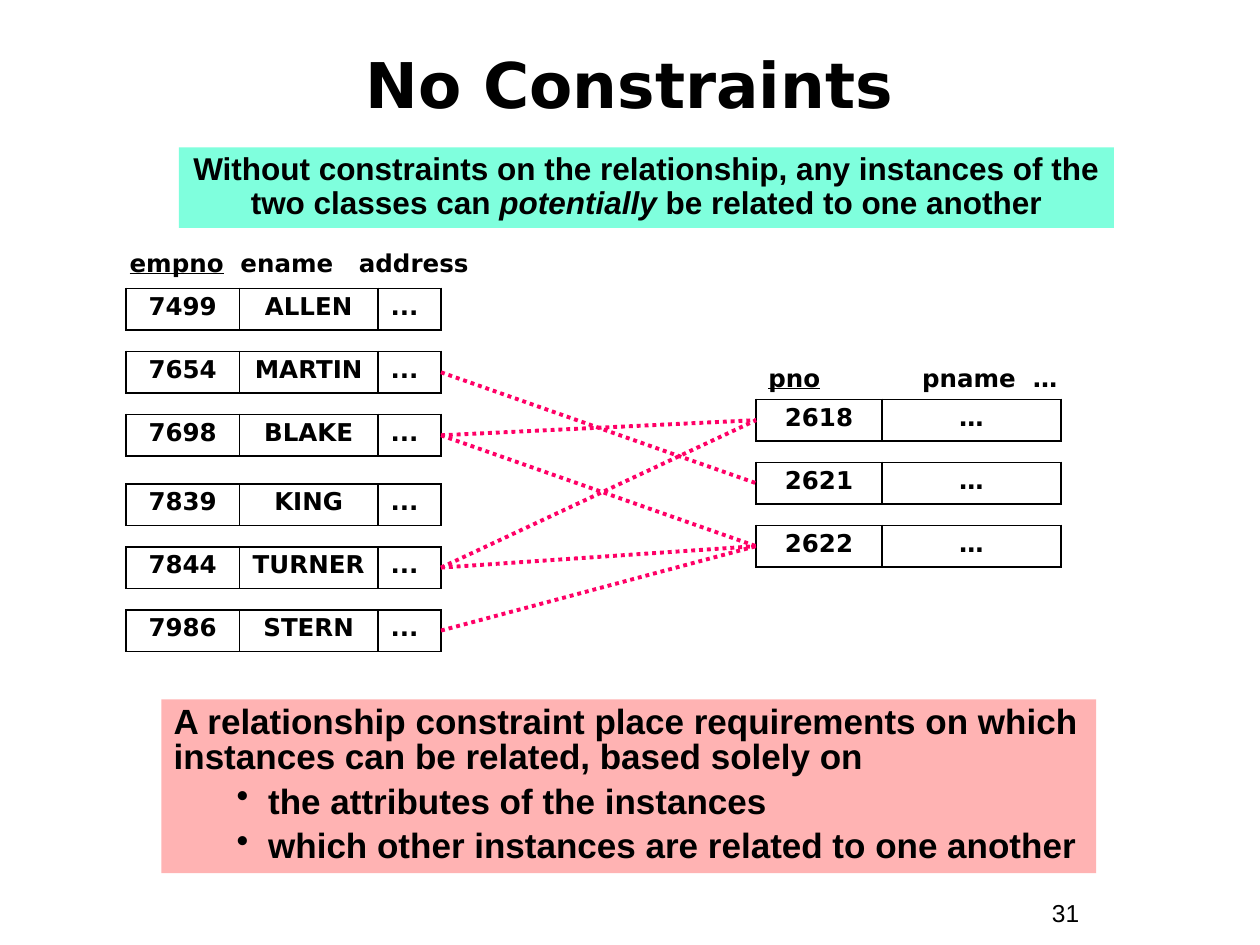
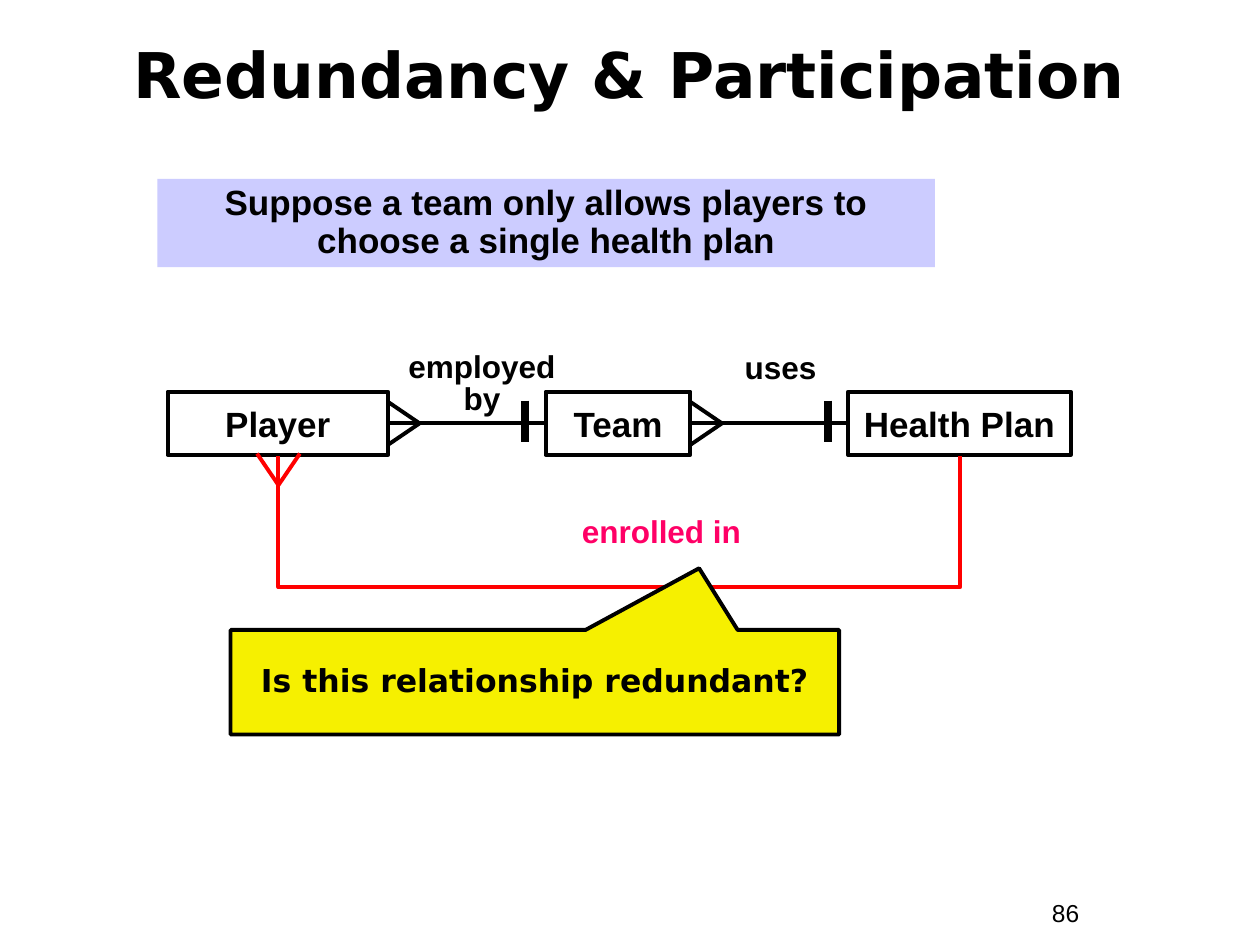
from lxml import etree
from pptx import Presentation
from pptx.dml.color import RGBColor
from pptx.enum.dml import MSO_LINE
from pptx.enum.shapes import MSO_CONNECTOR, MSO_SHAPE
from pptx.enum.text import MSO_ANCHOR, PP_ALIGN
from pptx.oxml.ns import qn
from pptx.util import Inches, Pt

LEFT, CENTER = PP_ALIGN.LEFT, PP_ALIGN.CENTER
TOP, MIDDLE = MSO_ANCHOR.TOP, MSO_ANCHOR.MIDDLE
STRAIGHT, DOTTED = MSO_CONNECTOR.STRAIGHT, MSO_LINE.ROUND_DOT
RECTANGLE, CALLOUT = MSO_SHAPE.RECTANGLE, MSO_SHAPE.RECTANGULAR_CALLOUT

# Shared look
SANS, HEADING = "Arial", "DejaVu Sans"
BLACK, PINK, RED = "000000", "FF0066", "FF0000"
MINT, ROSE, LILAC, YELLOW = "7FFFDD", "FFB3B3", "CCCCFF", "F6F000"
LINE_WIDTH = 2.25
TITLE_LAYOUT = 5


def write(frame, paragraphs, size, font=SANS, align=CENTER, anchor=TOP,
          spacing=1.0, colour=BLACK, bold=True):
    """Fill a text frame; each paragraph is a list of (text, font extras)."""
    frame.word_wrap = True
    frame.vertical_anchor = anchor
    for index, spans in enumerate(paragraphs):
        para = frame.paragraphs[0] if index == 0 else frame.add_paragraph()
        para.alignment = align
        para.line_spacing = spacing
        for text, extras in spans:
            span = para.add_run()
            span.text = text
            look = {"size": Pt(size), "name": font, "bold": bold, **extras}
            for name, value in look.items():
                setattr(span.font, name, value)
            span.font.color.rgb = RGBColor.from_string(colour)


def add_line(page, start, end, colour=BLACK, width=LINE_WIDTH):
    line = page.shapes.add_connector(
        STRAIGHT, *[Inches(value) for value in (*start, *end)])
    line.line.color.rgb = RGBColor.from_string(colour)
    line.line.width = Pt(width)
    etree.SubElement(line._element.spPr, qn("a:effectLst"))
    return line


deck = Presentation()
deck.slide_width, deck.slide_height = Inches(10), Inches(7.5)

# Titles and page numbers
pages = []
for title, top, height, number in [
    ("No Constraints", 0.33, 0.67, "31"),
    ("Redundancy & Participation", 0.17, 0.83, "86"),
]:
    page = deck.slides.add_slide(deck.slide_layouts[TITLE_LAYOUT])
    heading = page.shapes.title
    heading.left, heading.top = Inches(0.33), Inches(top)
    heading.width, heading.height = Inches(9.33), Inches(height)
    write(heading.text_frame, [[(title, {})]], 36, HEADING, anchor=MIDDLE)
    box = page.shapes.add_textbox(Inches(8.25), Inches(7.08), Inches(0.92), Inches(0.34))
    write(box.text_frame, [[(number, {})]], 14, align=LEFT, bold=False)
    pages.append(page)
instances, redundancy = pages

# Coloured statement panels
statement = [[
    ("Without constraints on the relationship, any instances of the two classes can ", {}),
    ("potentially", {"italic": True}),
    (" be related to one another", {}),
]]
definition = [[(text, {})] for text in (
    "A relationship constraint place requirements on which instances can be related, based solely on",
    "the attributes of the instances",
    "which other instances are related to one another",
)]
supposition = [[("Suppose a team only allows players to choose a single health plan", {})]]
panels = []
for page, place, fill, paragraphs, size, align, spacing in [
    (instances, (1.42, 1.17, 7.42, 0.64), MINT, statement, 18, CENTER, 0.9),
    (instances, (1.28, 5.55, 7.42, 1.38), ROSE, definition, 20, LEFT, 0.85),
    (redundancy, (1.25, 1.42, 6.17, 0.7), LILAC, supposition, 20, CENTER, 0.9),
]:
    panel = page.shapes.add_shape(RECTANGLE, *[Inches(value) for value in place])
    panel.shadow.inherit = False
    panel.fill.solid()
    panel.fill.fore_color.rgb = RGBColor.from_string(fill)
    panel.line.fill.background()
    write(panel.text_frame, paragraphs, size, align=align, spacing=spacing)
    panels.append(panel)

# Bullets in the definition
for para in panels[1].text_frame.paragraphs[1:]:
    para.level = 1
    para.space_before = Pt(5)
    properties = para._p.get_or_add_pPr()
    properties.set("marL", str(Inches(0.75)))
    properties.set("indent", str(Inches(-0.25)))
    etree.SubElement(properties, qn("a:buChar"), char="•")

# Column headings of the two classes, set on tab stops
for left, top, width, key, others, stops in [
    (0.93, 1.92, 3.61, "empno", "\tename\taddress", (0.88, 1.82)),
    (6, 2.83, 2.67, "pno", "\tpname\t…", (1.22, 2.1)),
]:
    box = instances.shapes.add_textbox(Inches(left), Inches(top), Inches(width), Inches(0.34))
    properties = box.text_frame.paragraphs[0]._p.get_or_add_pPr()
    tabs = etree.SubElement(properties, qn("a:tabLst"))
    for stop in stops:
        etree.SubElement(tabs, qn("a:tab"), pos=str(Inches(stop)), algn="l")
    write(box.text_frame, [[(key, {"underline": True}), (others, {})]], 14, HEADING, LEFT)

# One single-row table for each instance
ROW_HEIGHT = 0.33
EMPLOYEE_LEFT, EMPLOYEE_COLUMNS = 1, (0.9, 1.1, 0.5)
PROJECT_LEFT, PROJECT_COLUMNS = 6, (1, 1.42)
employees = [
    ("7499", "ALLEN", 2.29), ("7654", "MARTIN", 2.79), ("7698", "BLAKE", 3.29),
    ("7839", "KING", 3.84), ("7844", "TURNER", 4.34), ("7986", "STERN", 4.84),
]
projects = [("2618", 3.17), ("2621", 3.67), ("2622", 4.17)]
rows = [(EMPLOYEE_LEFT, top, EMPLOYEE_COLUMNS, (number, name, "..."))
        for number, name, top in employees]
rows += [(PROJECT_LEFT, top, PROJECT_COLUMNS, (number, "…")) for number, top in projects]
middles = {}
for left, top, widths, values in rows:
    middles[values[0]] = top + ROW_HEIGHT / 2
    table = instances.shapes.add_table(
        1, len(widths), Inches(left), Inches(top), Inches(sum(widths)), Inches(ROW_HEIGHT)).table
    table.first_row = table.horz_banding = False
    for column, (width, value) in enumerate(zip(widths, values)):
        table.columns[column].width = Inches(width)
        cell = table.cell(0, column)
        cell.fill.background()
        write(cell.text_frame, [[(value, {})]], 14, HEADING,
              LEFT if value == "..." else CENTER, spacing=0.9)
        properties = cell._tc.get_or_add_tcPr()
        for order, side in enumerate(("lnL", "lnR", "lnT", "lnB")):
            border = etree.Element(qn(f"a:{side}"), w=str(Pt(1.08)))
            solid = etree.SubElement(border, qn("a:solidFill"))
            etree.SubElement(solid, qn("a:srgbClr"), val=BLACK)
            properties.insert(order, border)

# Related instances
employee_right = EMPLOYEE_LEFT + sum(EMPLOYEE_COLUMNS)
for employee, project in [
    ("7654", "2621"), ("7698", "2618"), ("7698", "2622"),
    ("7844", "2618"), ("7844", "2622"), ("7986", "2622"),
]:
    link = add_line(instances, (employee_right, middles[employee]),
                    (PROJECT_LEFT, middles[project]), PINK)
    link.line.dash_style = DOTTED

# Entities
ENTITY_TOP, ENTITY_HEIGHT = 3.11, 0.5
AXIS = ENTITY_TOP + ENTITY_HEIGHT / 2
entities = {}
for name, left, width in [("Player", 1.33, 1.75), ("Team", 4.33, 1.15), ("Health Plan", 6.73, 1.77)]:
    entity = redundancy.shapes.add_shape(
        RECTANGLE, Inches(left), Inches(ENTITY_TOP), Inches(width), Inches(ENTITY_HEIGHT))
    entity.shadow.inherit = False
    entity.fill.background()
    entity.line.color.rgb = RGBColor.from_string(BLACK)
    entity.line.width = Pt(LINE_WIDTH)
    write(entity.text_frame, [[(name, {})]], 20, anchor=MIDDLE)
    entities[name] = entity

# Relationships: line, crow's foot at the many side, bar at the one side
FOOT, SPREAD = 0.25, 0.17
for many, one, many_right, one_left in [
    ("Player", "Team", 3.08, 4.33), ("Team", "Health Plan", 5.48, 6.73),
]:
    link = add_line(redundancy, (one_left, AXIS), (many_right, AXIS))
    link.begin_connect(entities[one], 1)
    link.end_connect(entities[many], 3)
    for offset in (-SPREAD, SPREAD):
        add_line(redundancy, (many_right + FOOT, AXIS), (many_right, AXIS + offset))
    bar = one_left - 0.16
    add_line(redundancy, (bar, 3.18), (bar, 3.51), width=4.5)

# Relationship under question
PLAYER_MIDDLE, PLAN_MIDDLE, LOOP_TOP, LOOP_BOTTOM = 2.21, 7.62, 3.62, 4.66
outline = redundancy.shapes.build_freeform(Inches(PLAN_MIDDLE), Inches(LOOP_TOP))
outline.add_line_segments(
    [(Inches(x), Inches(y)) for x, y in (
        (PLAN_MIDDLE, LOOP_BOTTOM), (PLAYER_MIDDLE, LOOP_BOTTOM), (PLAYER_MIDDLE, LOOP_TOP))],
    close=False)
loop = outline.convert_to_shape()
loop.shadow.inherit = False
loop.fill.background()
loop.line.color.rgb = RGBColor.from_string(RED)
loop.line.width = Pt(LINE_WIDTH)
for offset in (-SPREAD, SPREAD):
    add_line(redundancy, (PLAYER_MIDDLE, 3.85), (PLAYER_MIDDLE + offset, 3.6), RED)

# Relationship names
for name, left, top, width, height, colour in [
    ("uses", 5.36, 2.76, 1.67, 0.36, BLACK),
    ("employed by", 2.99, 2.75, 1.67, 0.61, BLACK),
    ("enrolled in", 4.25, 4.06, 2, 0.36, PINK),
]:
    box = redundancy.shapes.add_textbox(Inches(left), Inches(top), Inches(width), Inches(height))
    write(box.text_frame, [[(name, {})]], 18, spacing=0.85, colour=colour)

# Question callout
question = redundancy.shapes.add_shape(CALLOUT, Inches(1.83), Inches(5), Inches(4.83), Inches(0.83))
question.adjustments[0], question.adjustments[1] = 0.27, -1.09
question.shadow.inherit = False
question.fill.solid()
question.fill.fore_color.rgb = RGBColor.from_string(YELLOW)
question.line.color.rgb = RGBColor.from_string(BLACK)
question.line.width = Pt(LINE_WIDTH)
write(question.text_frame, [[("Is this relationship redundant?", {})]], 18, HEADING,
      anchor=MIDDLE, spacing=0.9)

deck.save("out.pptx")
